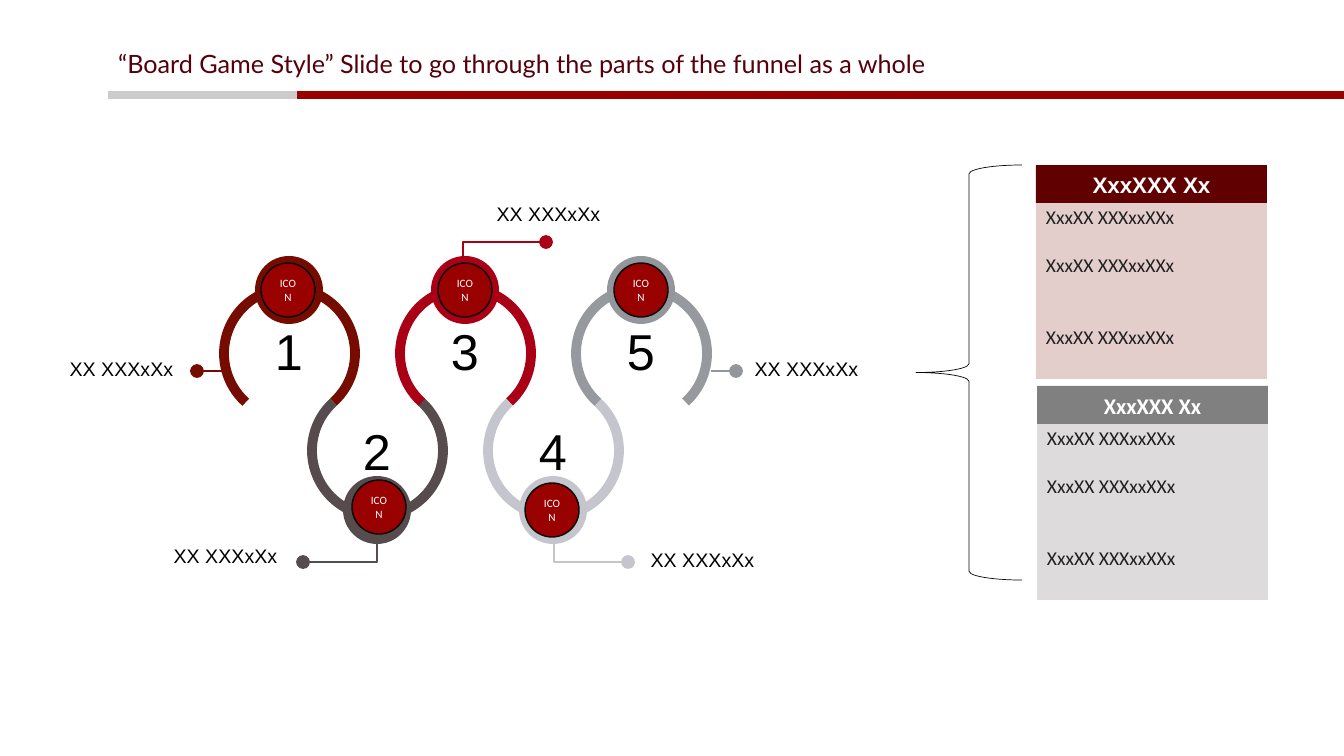
from lxml import etree
from pptx import Presentation
from pptx.dml.color import RGBColor
from pptx.enum import shapes, text
from pptx.oxml.ns import qn
from pptx.util import Pt

PX = 9071  # EMU in one pixel, 1344 pixels across the slide
SHAPE = shapes.MSO_SHAPE
ALIGN = text.PP_ALIGN
ANCHOR = text.MSO_ANCHOR


def style(shape, fill=None, line=None, width=1):
    """Set fill and line, or clear them, and switch the shadow off."""
    if fill:
        shape.fill.solid()
        shape.fill.fore_color.rgb = RGBColor.from_string(fill)
    elif hasattr(shape, "fill"):
        shape.fill.background()
    if line:
        shape.line.color.rgb = RGBColor.from_string(line)
        shape.line.width = Pt(width)
    else:
        shape.line.fill.background()
    etree.SubElement(shape._element.spPr, qn("a:effectLst"))


def write(shape, lines, size, font, colour, align=ALIGN.CENTER, anchor=ANCHOR.TOP,
          spacing=1.0, bold=False):
    frame = shape.text_frame
    frame.word_wrap = True
    frame.auto_size = text.MSO_AUTO_SIZE.NONE
    frame.vertical_anchor = anchor
    frame.text = lines
    for paragraph in frame.paragraphs:
        paragraph.alignment = align
        paragraph.line_spacing = spacing
        paragraph.font.size = Pt(size)
        paragraph.font.name = font
        paragraph.font.bold = bold
        paragraph.font.color.rgb = RGBColor.from_string(colour)


presentation = Presentation()
presentation.slide_width = 1344 * PX
presentation.slide_height = 756 * PX
slide = presentation.slides.add_slide(presentation.slide_layouts[5])

# Title and the two-colour rule below it
title = slide.shapes.title
title.left, title.top, title.width, title.height = 108 * PX, 47 * PX, 1172 * PX, 42 * PX
write(title, "“Board Game Style” Slide to go through the parts of the funnel as a whole",
      18, "Lato", "55000B", ALIGN.LEFT, spacing=0.9)
for start, end, colour in [(297, 1344, "990000"), (108, 297, "CCCCCC")]:
    rule = slide.shapes.add_connector(shapes.MSO_CONNECTOR.STRAIGHT,
                                      start * PX, 95 * PX, end * PX, 95 * PX)
    style(rule, line=colour, width=6)

# Winding track: arc and ring colours, icon corner, label corner, leader from its dot
stops = [
    ("760B00", "760B00", (261, 263), (51, 355), [(197, 371), (222, 371)]),
    ("564B4D", "564B4D", (352, 480), (155, 542), [(303, 562), (377, 562), (377, 533)]),
    ("AA0016", "AA0016", (438, 263), (478, 200), [(546, 242), (463, 242), (463, 263)]),
    ("C5C5CE", "C5C5CE", (525, 483), (632, 546), [(628, 562), (554, 562), (554, 533)]),
    ("96999D", "93969B", (614, 263), (736, 355), [(736, 371), (711, 371)]),
]
for index, (arc_colour, colour, icon_at, label_at, points) in enumerate(stops):
    left = 224 + 88 * index
    lower = index % 2 == 1
    arc_top, ring_top, number_top = (385, 476, 422) if lower else (288, 256, 322)

    arc = slide.shapes.add_shape(SHAPE.ARC, left * PX, arc_top * PX, 131 * PX, 131 * PX)
    arc.adjustments[0], arc.adjustments[1] = 79.14, 28.68
    arc.rotation = 180 if lower else 0
    style(arc, line=arc_colour, width=7)

    ring = slide.shapes.add_shape(SHAPE.OVAL, (left + 31) * PX, ring_top * PX, 68 * PX, 68 * PX)
    style(ring, fill=colour)

    number = slide.shapes.add_textbox((left + 19) * PX, number_top * PX, 92 * PX, 64 * PX)
    write(number, str(index + 1), 36, "Arial", "000000", spacing=0.89)

    if len(points) == 2:
        (x1, y1), (x2, y2) = points
        leader = slide.shapes.add_connector(shapes.MSO_CONNECTOR.STRAIGHT,
                                            x1 * PX, y1 * PX, x2 * PX, y2 * PX)
    else:
        outline = slide.shapes.build_freeform(*points[0], scale=PX)
        outline.add_line_segments(points[1:], close=False)
        leader = outline.convert_to_shape()
    style(leader, line=colour)
    etree.SubElement(leader.line._get_or_add_ln(), qn("a:headEnd"),
                     type="oval", w="lg", len="lg")

    icon = slide.shapes.add_shape(SHAPE.OVAL, icon_at[0] * PX, icon_at[1] * PX, 54 * PX, 54 * PX)
    style(icon, fill="990000", line="060606")
    write(icon, "ICON", 8, "Calibri", "FFFFFF", anchor=ANCHOR.MIDDLE)

    label = slide.shapes.add_textbox(label_at[0] * PX, label_at[1] * PX, 141 * PX, 31 * PX)
    write(label, "XX XXXxXx", 14, "Arial", "000000", spacing=0.89)

# Panels on the right, gathered by a brace
panels = [(1036, 165, "600000", "760B00", "Arial"), (1037, 386, "808080", "564B4D", "Calibri")]
for left, top, header_colour, body_colour, header_font in panels:
    header = slide.shapes.add_shape(SHAPE.RECTANGLE, left * PX, top * PX, 231 * PX, 38 * PX)
    style(header, fill=header_colour)
    write(header, "XxxXXX Xx", 16, header_font, "FFFFFF", anchor=ANCHOR.BOTTOM, bold=True)

    body = slide.shapes.add_shape(SHAPE.RECTANGLE, left * PX, (top + 38) * PX, 231 * PX, 176 * PX)
    style(body, fill=body_colour)
    etree.SubElement(body._element.spPr.find(qn("a:solidFill"))[0], qn("a:alpha"), val="20000")
    write(body, "\n".join(["XxxXX XXXxxXXx"] * 3), 14, "Calibri", "212121",
          ALIGN.LEFT, spacing=0.9)
    for paragraph, gap in zip(body.text_frame.paragraphs, (0, 17, 34)):
        paragraph.space_before = Pt(gap)
        paragraph.space_after = Pt(2)

brace = slide.shapes.add_shape(SHAPE.LEFT_BRACE, 916 * PX, 165 * PX, 106 * PX, 415 * PX)
style(brace, line="080808", width=0.5)

presentation.save("out.pptx")
